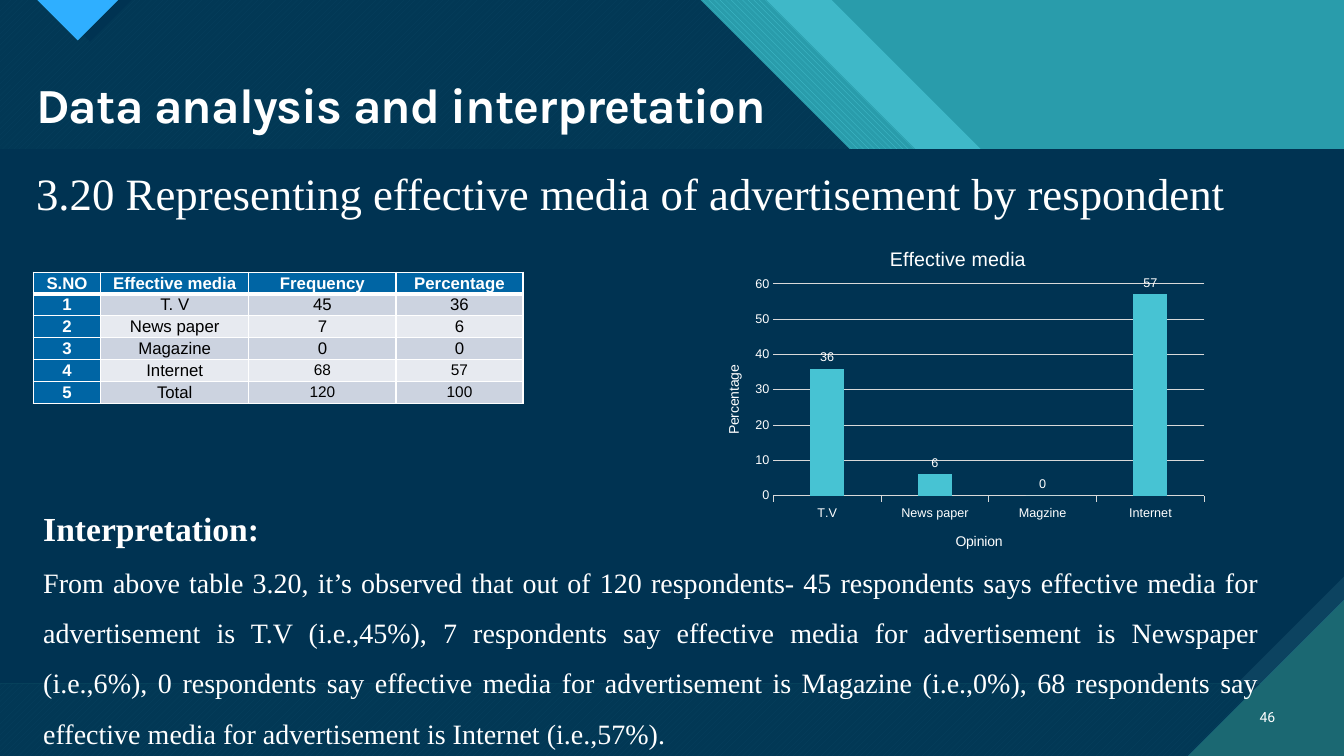
from dataclasses import dataclass
from typing import Optional

from lxml import etree
from pptx import Presentation
from pptx.chart.data import CategoryChartData
from pptx.dml.color import RGBColor
from pptx.enum.chart import XL_CHART_TYPE, XL_LABEL_POSITION, XL_TICK_MARK
from pptx.enum.dml import MSO_PATTERN
from pptx.enum.shapes import MSO_SHAPE
from pptx.enum.text import MSO_ANCHOR, PP_ALIGN
from pptx.oxml.ns import qn
from pptx.util import Cm, Pt

COLUMNS = XL_CHART_TYPE.COLUMN_CLUSTERED
OUTSIDE_END = XL_LABEL_POSITION.OUTSIDE_END
TICK_NONE, TICK_OUT = XL_TICK_MARK.NONE, XL_TICK_MARK.OUTSIDE
DOWN_DIAG = MSO_PATTERN.WIDE_DOWNWARD_DIAGONAL
UP_DIAG = MSO_PATTERN.WIDE_UPWARD_DIAGONAL
DARK_HORZ, DARK_VERT = MSO_PATTERN.DARK_HORIZONTAL, MSO_PATTERN.DARK_VERTICAL
RECT, SNIP = MSO_SHAPE.RECTANGLE, MSO_SHAPE.SNIP_1_RECTANGLE
MIDDLE = MSO_ANCHOR.MIDDLE
CENTER, JUSTIFY, RIGHT = PP_ALIGN.CENTER, PP_ALIGN.JUSTIFY, PP_ALIGN.RIGHT

W, H = 33.87, 19.05
WHITE, BLACK, NAVY, TEAL, AQUA, PINE = "FFFFFF", "000000", "003352", "299CAB", "47C3D3", "1B6872"
GREY, BLUE = "D9D9D9", "0065A4"
SERIF = "Times New Roman"


@dataclass
class Paint:
    color: str
    alpha: int = 100
    pattern: Optional[MSO_PATTERN] = None
    back: str = PINE


@dataclass
class Outline:
    points: list[tuple[float, float]]
    paint: Paint


@dataclass
class Line:
    text: str
    size: float
    font: str = SERIF
    bold: bool = False
    align: Optional[PP_ALIGN] = None
    spacing: float = 1.0


def rgb(color: str) -> RGBColor:
    return RGBColor.from_string(color)


def paint_shape(sp, paint: Paint) -> None:
    sp.shadow.inherit = False
    sp.line.fill.background()
    if paint.pattern is not None:
        sp.fill.patterned()
        sp.fill.pattern = paint.pattern
        sp.fill.fore_color.rgb = rgb(paint.color)
        sp.fill.back_color.rgb = rgb(paint.back)
        return
    sp.fill.solid()
    sp.fill.fore_color.rgb = rgb(paint.color)
    if paint.alpha < 100:
        clr = next(sp.element.iter(qn("a:srgbClr")))
        etree.SubElement(clr, qn("a:alpha")).set("val", str(paint.alpha * 1000))


def draw_outline(s, outline: Outline) -> None:
    pts = [(Cm(x), Cm(y)) for x, y in outline.points]
    fb = s.shapes.build_freeform(*pts[0])
    fb.add_line_segments(pts[1:], close=True)
    paint_shape(fb.convert_to_shape(), outline.paint)


def band(x: float, paint: Paint) -> Outline:
    drop, ledge = 7.55, 3.2
    step = x + drop + ledge
    return Outline([(0, 0), (x, 0), (x + drop, drop), (step, drop),
                    (W, drop + W - step), (W, H), (0, H)], paint)


def pointer(left: float, right: float, paint: Paint) -> Outline:
    half = (right - left) / 2
    return Outline([(left, 0), (left + half, half), (right, 0)], paint)


def style_font(font, size: float, color: str = WHITE, name: str = "Arial", bold: bool = False) -> None:
    font.size, font.name, font.bold = Pt(size), name, bold
    font.color.rgb = rgb(color)


def write(tf, lines: list[Line], anchor: Optional[MSO_ANCHOR] = None) -> None:
    tf.word_wrap = True
    tf.vertical_anchor = anchor
    for i, line in enumerate(lines):
        p = tf.add_paragraph() if i else tf.paragraphs[0]
        p.alignment, p.line_spacing = line.align, line.spacing
        r = p.add_run()
        r.text = line.text
        style_font(r.font, line.size, WHITE, line.font, line.bold)


def add_text(s, x: float, y: float, w: float, h: float, lines: list[Line],
             anchor: Optional[MSO_ANCHOR] = None) -> None:
    write(s.shapes.add_textbox(Cm(x), Cm(y), Cm(w), Cm(h)).text_frame, lines, anchor)


def border(cell, widths: dict[str, float]) -> None:
    tcPr = cell._tc.get_or_add_tcPr()
    for i, (side, width) in enumerate(widths.items()):
        ln = etree.Element(qn(f"a:ln{side}"), w=str(Pt(width)))
        fill = etree.SubElement(ln, qn("a:solidFill"))
        etree.SubElement(fill, qn("a:srgbClr")).set("val", WHITE)
        tcPr.insert(i, ln)


def add_media_table(s) -> None:
    rows = [("S.NO", "Effective media", "Frequency", "Percentage"),
            ("1", "T. V", "45", "36"), ("2", "News paper", "7", "6"),
            ("3", "Magazine", "0", "0"), ("4", "Internet", "68", "57"),
            ("5", "Total", "120", "100")]
    tbl = s.shapes.add_table(6, 4, Cm(0.84), Cm(6.86), Cm(12.34), Cm(3.3)).table
    for col, width in zip(tbl.columns, (1.7, 3.73, 3.71, 3.2)):
        col.width = Cm(width)
    for i, row in enumerate(rows):
        tbl.rows[i].height = Cm(0.55)
        for j, text in enumerate(row):
            head = i == 0 or j == 0
            cell = tbl.cell(i, j)
            cell.fill.solid()
            cell.fill.fore_color.rgb = rgb(BLUE if head else "CCD3E0" if i % 2 else "E7EAF0")
            border(cell, {"L": 1, "R": 1, "T": 3 if i == 1 else 1, "B": 1 if i else 3})
            cell.margin_left = cell.margin_right = Cm(0.18)
            cell.margin_top = cell.margin_bottom = 0
            cell.vertical_anchor = MIDDLE
            p = cell.text_frame.paragraphs[0]
            p.alignment = CENTER
            r = p.add_run()
            r.text = text
            style_font(r.font, 11 if i > 3 and j > 1 else 12, WHITE if head else BLACK, bold=head)


def place(parent, **parts: float) -> None:
    for old in parent.findall(qn("c:layout")):
        parent.remove(old)
    layout = etree.Element(qn("c:layout"))
    manual = etree.SubElement(layout, qn("c:manualLayout"))
    if "w" in parts:
        etree.SubElement(manual, qn("c:layoutTarget")).set("val", "inner")
    for mode in ("xMode", "yMode"):
        etree.SubElement(manual, qn(f"c:{mode}")).set("val", "edge")
    for key, value in parts.items():
        etree.SubElement(manual, qn(f"c:{key}")).set("val", str(value))
    parent.insert(0 if parent.find(qn("c:tx")) is None else 1, layout)


def set_title(title, text: str, size: float, x: float, y: float) -> None:
    r = title.text_frame.paragraphs[0].add_run()
    r.text = text
    style_font(r.font, size)
    place(title._element, x=x, y=y)


def add_media_chart(s) -> None:
    data = CategoryChartData()
    data.categories = ["T.V", "News paper", "Magzine", "Internet"]
    data.add_series("Series 1", (36, 6, 0, 57))
    chart = s.shapes.add_chart(COLUMNS, Cm(17.68), Cm(5.69), Cm(12.93), Cm(8.61), data).chart
    style_font(chart.font, 10)
    chart.has_legend = False
    set_title(chart.chart_title, "Effective media", 14, 0.36, 0.05)
    cat, val = chart.category_axis, chart.value_axis
    set_title(cat.axis_title, "Opinion", 10, 0.49, 0.89)
    set_title(val.axis_title, "Percentage", 10, 0.04, 0.4)
    for axis, tick in ((cat, TICK_OUT), (val, TICK_NONE)):
        axis.major_tick_mark, axis.minor_tick_mark = tick, TICK_NONE
        style_font(axis.tick_labels.font, 9)
    val.minimum_scale, val.maximum_scale, val.major_unit = 0, 60, 10
    val.format.line.fill.background()
    for line in (cat.format.line, val.major_gridlines.format.line):
        line.color.rgb = rgb(GREY)
        line.width = Pt(0.75)
    plot = chart.plots[0]
    plot.gap_width, plot.overlap, plot.vary_by_categories = 219, -27, False
    series = plot.series[0]
    series.format.fill.solid()
    series.format.fill.fore_color.rgb = rgb(AQUA)
    labels = series.data_labels
    labels.show_value, labels.position = True, OUTSIDE_END
    style_font(labels.font, 9)
    place(next(chart._chartSpace.iter(qn("c:plotArea"))), x=0.14, y=0.17, w=0.84, h=0.62)


def add_backdrop(s) -> None:
    s.background.fill.solid()
    s.background.fill.fore_color.rgb = rgb(TEAL)
    for outline in (band(20.96, Paint(AQUA, 74)),
                    band(19.31, Paint(AQUA, pattern=DOWN_DIAG, back=TEAL)),
                    band(17.65, Paint(AQUA, pattern=UP_DIAG)),
                    band(17.65, Paint(NAVY, 90)),
                    pointer(1.22, 3.32, Paint(NAVY)),
                    pointer(0.94, 2.98, Paint("2FAFFF", pattern=DARK_HORZ))):
        draw_outline(s, outline)
    for kind, paint in ((RECT, Paint("0C4360", pattern=DARK_VERT)), (SNIP, Paint(NAVY))):
        sp = s.shapes.add_shape(kind, 0, Cm(3.76), Cm(W), Cm(13.46))
        paint_shape(sp, paint)
        if kind == SNIP:
            sp.adjustments[0] = 0.2
            sp.element.spPr.xfrm.set("flipV", "1")
    draw_outline(s, Outline([(29.95, H), (W, H), (W, 15.13)],
                            Paint(PINE, pattern=DARK_HORZ, back=AQUA)))


def main() -> None:
    prs = Presentation()
    prs.slide_width, prs.slide_height = Cm(W), Cm(H)
    s = prs.slides.add_slide(prs.slide_layouts[5])
    add_backdrop(s)
    title = s.shapes.title
    title.element.getparent().append(title.element)
    title.left, title.top, title.width, title.height = Cm(0.66), Cm(1.9), Cm(19.2), Cm(1.6)
    write(title.text_frame, [Line("Data analysis and interpretation", 35, "Karla", True, PP_ALIGN.LEFT, 0.9)], MIDDLE)
    title.text_frame.paragraphs[0].runs[0].font._element.set("spc", "-70")
    add_text(s, 31.27, 17.55, 1.12, 1.02, [Line("46", 10, "Roboto", align=RIGHT)], MIDDLE)
    add_text(s, 0.66, 4.06, 31.72, 1.63,
             [Line("3.20 Representing effective media of advertisement by respondent", 32, align=JUSTIFY)])
    add_text(s, 0.84, 12.17, 31.14, 6.78, [
        Line("Interpretation:", 24, bold=True, align=JUSTIFY, spacing=1.5),
        Line("From above table 3.20, it’s observed that out of 120 respondents- 45 respondents says effective "
             "media for advertisement is T.V (i.e.,45%), 7 respondents say effective media for advertisement is "
             "Newspaper (i.e.,6%), 0 respondents say effective media for advertisement is Magazine (i.e.,0%), "
             "68 respondents say effective media for advertisement is Internet (i.e.,57%).",
             20, align=JUSTIFY, spacing=1.5)])
    add_media_table(s)
    add_media_chart(s)
    prs.save("out.pptx")


if __name__ == "__main__":
    main()
